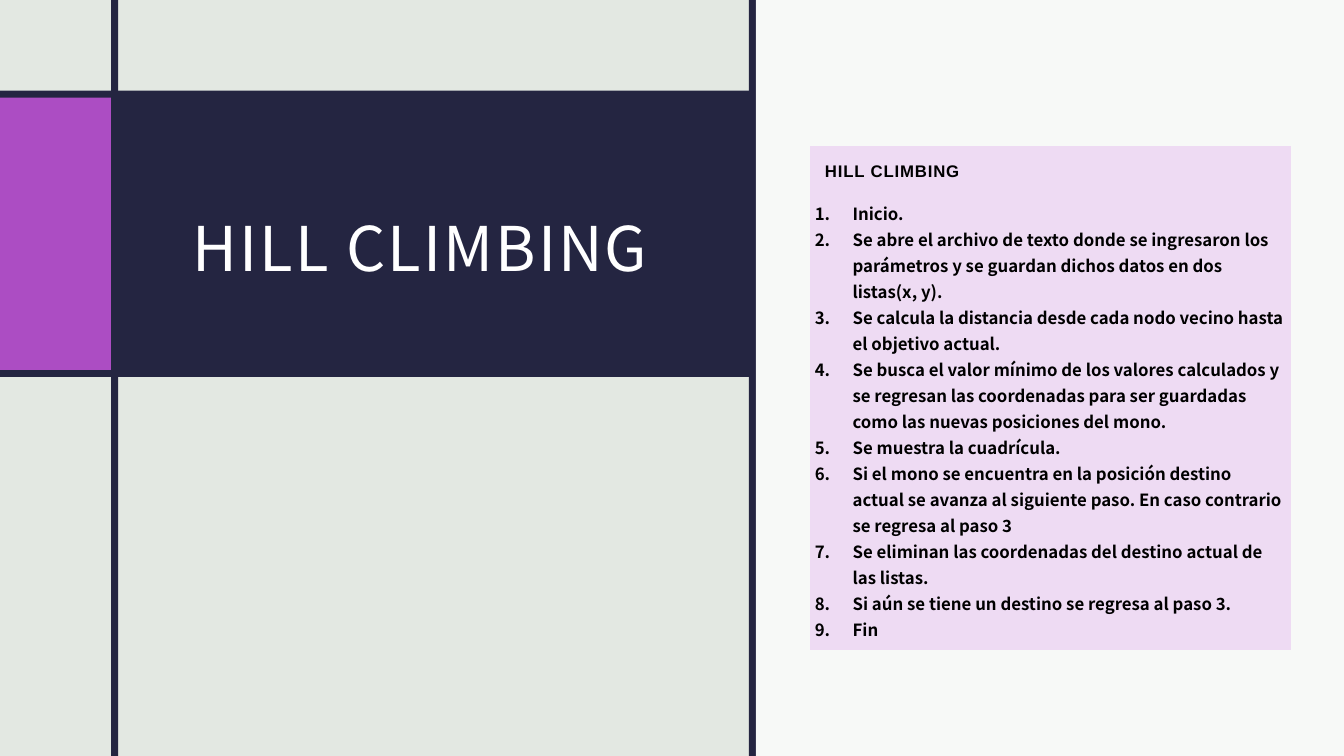
from lxml import etree
from pptx import Presentation
from pptx import util as u
from pptx.dml import color
from pptx.enum import shapes, text
from pptx.oxml import ns

Pt = u.Pt
COLORS = {"sage": "E3E8E2", "navy": "242541", "purple": "AC4DC3",
          "lilac": "EEDBF3", "white": "FFFFFF", "black": "000000"}
BODY_FONT = "Noto Sans CJK JP"
SLIDE_WIDTH, SLIDE_HEIGHT = 960, 540
BAR_WIDTH = 5.04
HEADING_HEIGHT, STEPS_HEIGHT = 36.4, 323

HEADING = "HILL CLIMBING"
STEPS = [
    "Inicio.",
    "Se abre el archivo de texto donde se ingresaron los parámetros y se guardan "
    "dichos datos en dos listas(x, y).",
    "Se calcula la distancia desde cada nodo vecino hasta el objetivo actual.",
    "Se busca el valor mínimo de los valores calculados y se regresan las "
    "coordenadas para ser guardadas como las nuevas posiciones del mono.",
    "Se muestra la cuadrícula.",
    "Si el mono se encuentra en la posición destino actual se avanza al siguiente "
    "paso. En caso contrario se regresa al paso 3",
    "Se eliminan las coordenadas del destino actual de las listas.",
    "Si aún se tiene un destino se regresa al paso 3.",
    "Fin",
]


def rgb(name):
    return color.RGBColor.from_string(COLORS[name])


def add_block(slide, left, top, width, height, fill, opacity=100):
    block = slide.shapes.add_shape(shapes.MSO_SHAPE.RECTANGLE, Pt(left), Pt(top),
                                   Pt(width), Pt(height))
    block.shadow.inherit = False
    block.line.fill.background()
    block.fill.solid()
    block.fill.fore_color.rgb = rgb(fill)
    if opacity < 100:
        tint = block.fill._xPr.find(".//" + ns.qn("a:srgbClr"))
        etree.SubElement(tint, ns.qn("a:alpha"), val=str(opacity * 1000))


def format_runs(paragraph, font, size, ink, line_spacing, tracking=0, bold=False):
    paragraph.line_spacing = line_spacing
    for run in paragraph.runs:
        run.font.name = font
        run.font.size = Pt(size)
        run.font.bold = bold
        run.font.color.rgb = rgb(ink)
        properties = run._r.get_or_add_rPr()
        properties.set("spc", str(round(tracking * 100)))
        etree.SubElement(properties, ns.qn("a:ea"), typeface=font)


def set_margins(holder, left, top, right, bottom):
    holder.margin_left, holder.margin_top = Pt(left), Pt(top)
    holder.margin_right, holder.margin_bottom = Pt(right), Pt(bottom)


def add_title(slide):
    title = slide.shapes.add_textbox(Pt(128.9), Pt(83.5), Pt(373.7), Pt(171.4))
    frame = title.text_frame
    frame.word_wrap = True
    frame.vertical_anchor = text.MSO_ANCHOR.MIDDLE
    set_margins(frame, 8.64, 8.64, 8.64, 7.2)
    frame.text = HEADING
    format_runs(frame.paragraphs[0], BODY_FONT, 44, "white", 1.25, 1.5)


def number_step(paragraph):
    properties = paragraph._p.get_or_add_pPr()
    indent = Pt(27)
    properties.set("marL", str(indent))
    properties.set("indent", str(-indent))
    etree.SubElement(properties, ns.qn("a:buFont"), typeface="+mj-lt")
    etree.SubElement(properties, ns.qn("a:buAutoNum"), type="arabicPeriod")


def style_cell(cell):
    cell.fill.solid()
    cell.fill.fore_color.rgb = rgb("lilac")
    properties = cell._tc.get_or_add_tcPr()
    for position, side in enumerate(("lnL", "lnR", "lnT", "lnB")):
        border = etree.Element(ns.qn("a:" + side), w="0")
        etree.SubElement(border, ns.qn("a:noFill"))
        properties.insert(position, border)


def add_steps_table(slide):
    table = slide.shapes.add_table(2, 1, Pt(578.4), Pt(104.4), Pt(343.6),
                                   Pt(HEADING_HEIGHT + STEPS_HEIGHT)).table
    table.first_row = table.horz_banding = False
    for row, height in zip(table.rows, (HEADING_HEIGHT, STEPS_HEIGHT)):
        row.height = Pt(height)
    heading, steps = table.cell(0, 0), table.cell(1, 0)
    for cell in (heading, steps):
        style_cell(cell)

    # Heading row
    set_margins(heading, 10.8, 10.8, 10.8, 10.8)
    heading.text_frame.text = HEADING
    line = heading.text_frame.paragraphs[0]
    line.space_after = Pt(8)
    format_runs(line, "Arial", 12, "black", 1.07, 0.6, bold=True)

    # Numbered steps
    set_margins(steps, 3.6, 0.72, 3.6, 7.2)
    steps.text_frame.text = "\n".join(STEPS)
    for step in steps.text_frame.paragraphs:
        format_runs(step, BODY_FONT, 12, "black", 1.07, bold=True)
        number_step(step)


def main():
    deck = Presentation()
    deck.slide_width, deck.slide_height = Pt(SLIDE_WIDTH), Pt(SLIDE_HEIGHT)
    slide = deck.slides.add_slide(deck.slide_layouts[6])
    slide.background.fill.solid()
    slide.background.fill.fore_color.rgb = rgb("sage")

    # Title band with its accent
    add_block(slide, 0, 64.8, 535, 204.5, "navy")
    add_title(slide)
    add_block(slide, 0, 69.8, 84.2, 194.4, "purple")

    # Vertical bars and the pale right panel
    for bar_left in (79.4, 535):
        add_block(slide, bar_left, 0, BAR_WIDTH, SLIDE_HEIGHT, "navy")
    add_block(slide, 540, 0, SLIDE_WIDTH - 540, SLIDE_HEIGHT, "white", opacity=75)

    add_steps_table(slide)
    deck.save("out.pptx")


if __name__ == "__main__":
    main()
